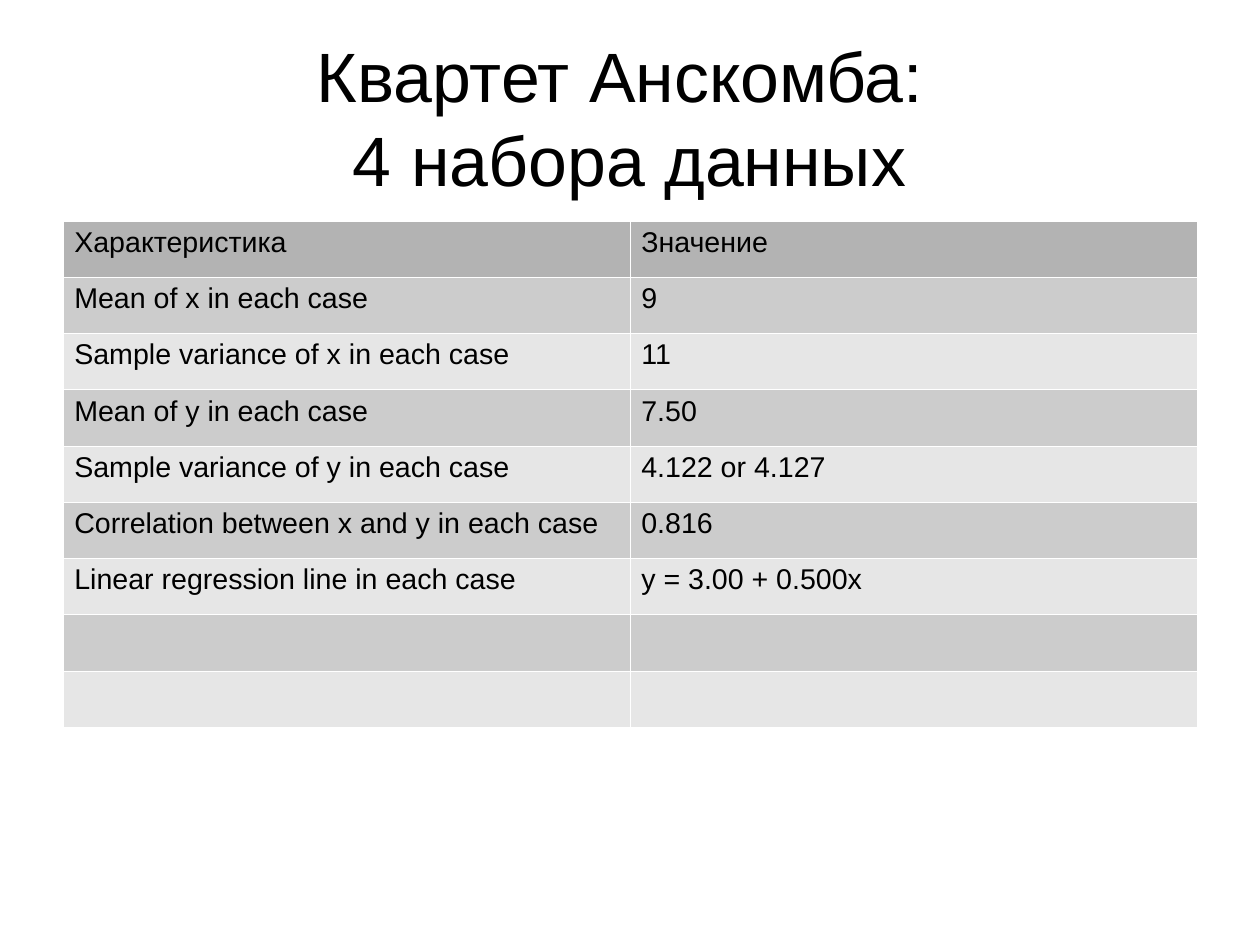
from dataclasses import dataclass
from lxml.etree import SubElement
from pptx import Presentation
from pptx.dml.color import RGBColor
from pptx.enum.text import MSO_ANCHOR, PP_ALIGN
from pptx.oxml.ns import qn
from pptx.util import Pt


@dataclass
class Theme:
    font: str = "Arial"
    ink: str = "000000"
    head: str = "B3B3B3"
    bands: tuple = ("CCCCCC", "E6E6E6")
    rule: str = "FFFFFF"
    title: int = 44
    body: int = 18


theme = Theme()


def style(para, size):
    for run in para.runs:
        run.font.name = theme.font
        run.font.size = Pt(size)
        run.font.color.rgb = RGBColor.from_string(theme.ink)


def border(cell):
    props = cell._tc.get_or_add_tcPr()
    for side in ("lnL", "lnR", "lnT", "lnB"):
        line = SubElement(props, qn(f"a:{side}"), w=str(Pt(0.06)))
        fill = SubElement(line, qn("a:solidFill"))
        SubElement(fill, qn("a:srgbClr"), val=theme.rule)


deck = Presentation()
deck.slide_width, deck.slide_height = Pt(793.6), Pt(595.3)
slide = deck.slides.add_slide(deck.slide_layouts[6])
left, width = 39.6, 714.3

# Title
title = slide.shapes.add_textbox(Pt(left), Pt(23.8), Pt(width), Pt(99.4))
frame = title.text_frame
frame.word_wrap = True
frame.vertical_anchor = MSO_ANCHOR.MIDDLE
frame.margin_left = frame.margin_right = frame.margin_top = frame.margin_bottom = 0
frame.text = "Квартет Анскомба: \v4 набора данных"
para = frame.paragraphs[0]
para.alignment = PP_ALIGN.CENTER
para.space_before = Pt(7.5)
style(para, theme.title)

# Table of shared statistics, with two spare rows
stats = [
    ("Характеристика", "Значение"),
    ("Mean of x in each case", "9"),
    ("Sample variance of x in each case", "11"),
    ("Mean of y in each case", "7.50"),
    ("Sample variance of y in each case", "4.122 or 4.127"),
    ("Correlation between x and y in each case", "0.816"),
    ("Linear regression line in each case", "y = 3.00 + 0.500x"),
    ("", ""),
    ("", ""),
]
height = 35.45
table = slide.shapes.add_table(
    len(stats), 2, Pt(left), Pt(139), Pt(width), Pt(height * len(stats))
).table
for col in table.columns:
    col.width = Pt(width / 2)

for i, pair in enumerate(stats):
    table.rows[i].height = Pt(height)
    shade = theme.bands[(i - 1) % 2] if i else theme.head
    for j, text in enumerate(pair):
        cell = table.cell(i, j)
        cell.margin_left = cell.margin_right = Pt(7.2)
        cell.margin_top = cell.margin_bottom = Pt(3.6)
        border(cell)
        cell.fill.solid()
        cell.fill.fore_color.rgb = RGBColor.from_string(shade)
        if text:
            cell.text_frame.text = text
            style(cell.text_frame.paragraphs[0], theme.body)
            cell.text_frame.paragraphs[0].runs[0].font.bold = False

deck.save("out.pptx")
